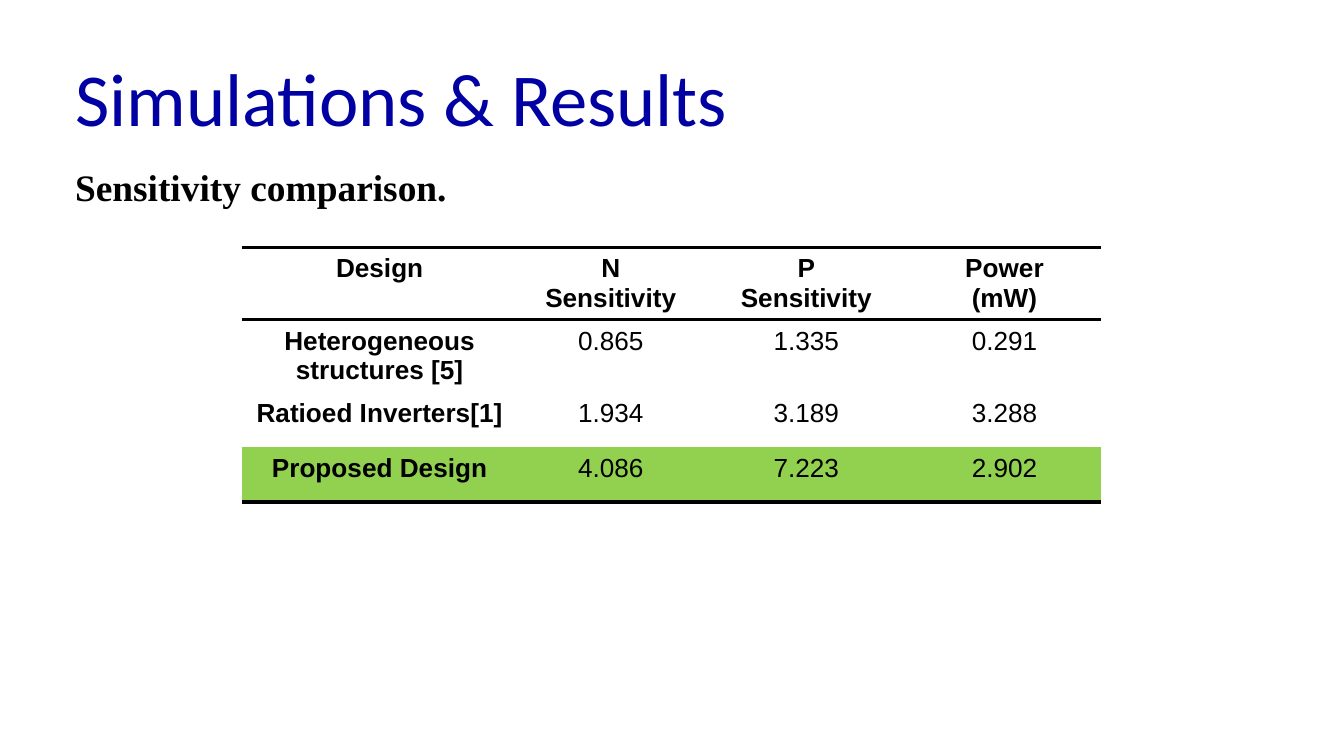
from lxml import etree
from pptx import Presentation
from pptx import util as u
from pptx.dml.color import RGBColor
from pptx.enum import text
from pptx.oxml.ns import qn

COLORS = {"title": "0000A3", "ink": "000000", "paper": "FFFFFF", "highlight": "92D050"}

RESULTS = [
    ["Design", "N\nSensitivity", "P\nSensitivity", "Power\n(mW)"],
    ["Heterogeneous structures [5]", "0.865", "1.335", "0.291"],
    ["Ratioed Inverters[1]", "1.934", "3.189", "3.288"],
    ["Proposed Design", "4.086", "7.223", "2.902"],
]
COLUMN_WIDTHS = [2.05, 1.39, 1.52, 1.43]
ROW_HEIGHT = 0.41
RULED_EDGES = {0, 1, len(RESULTS)}


def color(name):
    return RGBColor.from_string(COLORS[name])


def format_text(frame, font_name, size, ink, align, bold=False):
    for paragraph in frame.paragraphs:
        paragraph.alignment = align
        for run in paragraph.runs:
            run.font.name = font_name
            run.font.size = u.Pt(size)
            run.font.bold = bold
            run.font.color.rgb = color(ink)


def add_title(slide, left, top, width, height):
    title = slide.shapes.title
    title.left, title.top = u.Inches(left), u.Inches(top)
    title.width, title.height = u.Inches(width), u.Inches(height)
    frame = title.text_frame
    frame.text = "Simulations & Results"
    frame.auto_size = text.MSO_AUTO_SIZE.NONE
    frame.vertical_anchor = text.MSO_ANCHOR.TOP
    frame.paragraphs[0].line_spacing = 0.9
    format_text(frame, "Calibri", 40, "title", text.PP_ALIGN.LEFT)


def add_subtitle(slide, left, top, width, height):
    subtitle = slide.shapes.add_textbox(*map(u.Inches, (left, top, width, height)))
    frame = subtitle.text_frame
    frame.word_wrap = True
    frame.text = "Sensitivity comparison."
    frame.paragraphs[0].line_spacing = 0.9
    frame.paragraphs[0].space_before = u.Pt(10)
    format_text(frame, "Times New Roman", 20, "ink", text.PP_ALIGN.JUSTIFY, True)


def set_border(cell, side, ruled):
    line = etree.SubElement(cell._tc.get_or_add_tcPr(), qn("a:ln" + side))
    if ruled:
        line.set("w", str(u.Pt(2)))
        fill = etree.SubElement(line, qn("a:solidFill"))
        etree.SubElement(fill, qn("a:srgbClr"), val=COLORS["ink"])
    else:
        line.set("w", "0")
        etree.SubElement(line, qn("a:noFill"))


def add_results_table(slide, left, top):
    box = map(u.Inches, (left, top, sum(COLUMN_WIDTHS), ROW_HEIGHT * len(RESULTS)))
    table = slide.shapes.add_table(len(RESULTS), len(COLUMN_WIDTHS), *box).table
    table.horz_banding = False
    for column, width in zip(table.columns, COLUMN_WIDTHS):
        column.width = u.Inches(width)
    for r, row in enumerate(table.rows):
        row.height = u.Inches(ROW_HEIGHT)
        for c, cell in enumerate(row.cells):
            cell.text_frame.text = RESULTS[r][c]
            format_text(cell.text_frame, "Arial", 14, "ink",
                        text.PP_ALIGN.CENTER, r == 0 or c == 0)
            for side, ruled in (("L", False), ("R", False),
                                ("T", r in RULED_EDGES), ("B", r + 1 in RULED_EDGES)):
                set_border(cell, side, ruled)
            cell.fill.solid()
            cell.fill.fore_color.rgb = color(
                "highlight" if r == len(RESULTS) - 1 else "paper")


def main():
    deck = Presentation()
    deck.slide_width = u.Inches(10)
    deck.slide_height = u.Inches(10 * 9 / 16)
    slide = deck.slides.add_slide(deck.slide_layouts.get_by_name("Title Only"))
    add_title(slide, 0.46, 0.41, 6.96, 0.77)
    add_results_table(slide, 1.8, 1.84)
    add_subtitle(slide, 0.46, 1.21, 8.22, 0.77)
    deck.save("out.pptx")


if __name__ == "__main__":
    main()
